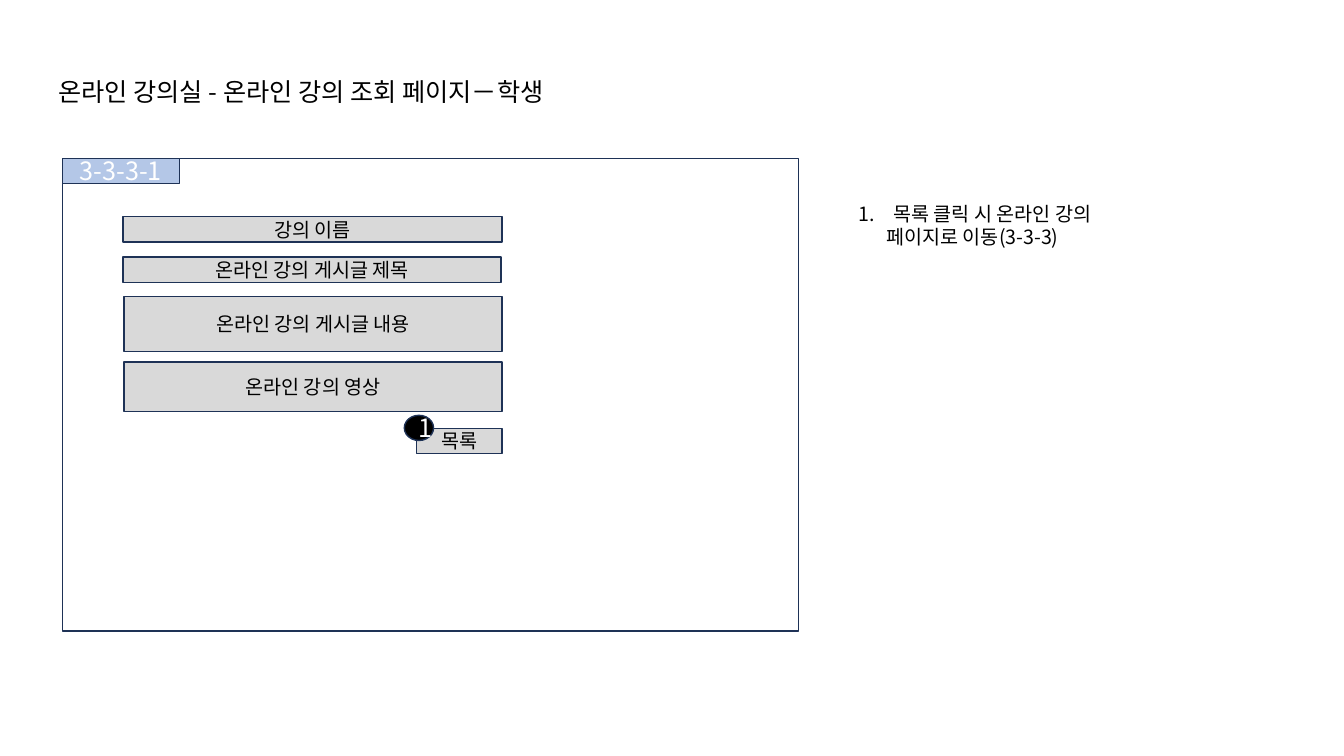
from dataclasses import dataclass

from lxml.etree import SubElement
from pptx import Presentation
from pptx.dml.color import RGBColor
from pptx.enum.shapes import MSO_SHAPE
from pptx.enum.text import MSO_ANCHOR, MSO_AUTO_SIZE, PP_ALIGN
from pptx.oxml.ns import qn
from pptx.shapes.autoshape import Shape
from pptx.slide import Slide
from pptx.text.text import TextFrame, _Paragraph
from pptx.util import Inches, Pt


@dataclass(frozen=True)
class Theme:
    font: str = "Noto Sans CJK KR"
    white: str = "FFFFFF"
    black: str = "000000"
    outline: str = "1E3256"
    tag: str = "B4C7E7"
    field: str = "D9D9D9"
    large: int = 18
    body: int = 14


THEME = Theme()


@dataclass(frozen=True)
class Box:
    left: float
    top: float
    width: float
    height: float
    text: str = ""
    fill: str = THEME.field
    color: str = THEME.black
    size: int = THEME.body
    shape: MSO_SHAPE = MSO_SHAPE.RECTANGLE


BOXES = [
    Box(0.62, 1.57, 7.3, 4.69, fill=THEME.white),
    Box(0.62, 1.57, 1.16, 0.25, "3-3-3-1", THEME.tag, THEME.white, THEME.large),
    Box(1.22, 2.15, 3.76, 0.25, "강의 이름"),
    Box(1.22, 2.55, 3.75, 0.25, "온라인 강의 게시글 제목"),
    Box(1.23, 2.94, 3.75, 0.55, "온라인 강의 게시글 내용"),
    Box(1.23, 3.59, 3.75, 0.49, "온라인 강의 영상"),
    Box(4.13, 4.25, 0.85, 0.25, "목록"),
    Box(4.01, 4.12, 0.29, 0.25, "1", THEME.black, THEME.white, THEME.large,
        MSO_SHAPE.OVAL),
]


def write(p: _Paragraph, text: str, *, size: int = THEME.body,
          color: str = THEME.black, align: PP_ALIGN = PP_ALIGN.LEFT,
          margin: float = 0, indent: float = 0) -> None:
    """Fill a paragraph; margin and first-line indent are in inches."""
    p.alignment = align
    pPr = p._p.get_or_add_pPr()
    pPr.set("marL", str(Inches(margin)))
    pPr.set("indent", str(Inches(indent)))
    r = p.add_run()
    r.text = text
    r.font.name = THEME.font
    r.font.size = Pt(size)
    r.font.color.rgb = RGBColor.from_string(color)
    SubElement(r.font._element, qn("a:ea"), typeface=THEME.font)


def add_box(slide: Slide, box: Box) -> Shape:
    sp = slide.shapes.add_shape(box.shape, Inches(box.left), Inches(box.top),
                                Inches(box.width), Inches(box.height))
    sp.shadow.inherit = False
    sp.fill.solid()
    sp.fill.fore_color.rgb = RGBColor.from_string(box.fill)
    sp.line.color.rgb = RGBColor.from_string(THEME.outline)
    sp.line.width = Pt(1)
    if box.text:
        tf = sp.text_frame
        tf.vertical_anchor = MSO_ANCHOR.MIDDLE
        write(tf.paragraphs[0], box.text, size=box.size, color=box.color,
              align=PP_ALIGN.CENTER)
    return sp


def add_text_box(slide: Slide, left: float, top: float, width: float,
                 height: float, wrap: bool) -> TextFrame:
    tf = slide.shapes.add_textbox(Inches(left), Inches(top), Inches(width),
                                  Inches(height)).text_frame
    tf.word_wrap = wrap
    tf.auto_size = MSO_AUTO_SIZE.SHAPE_TO_FIT_TEXT
    return tf


def main() -> None:
    prs = Presentation()
    prs.slide_width, prs.slide_height = Inches(13.33), Inches(7.5)
    slide = prs.slides.add_slide(prs.slide_layouts[6])

    title = add_text_box(slide, 0.48, 0.71, 5.64, 0.4, wrap=False)
    write(title.paragraphs[0], "온라인 강의실 - 온라인 강의 조회 페이지－학생",
          size=THEME.large)

    for box in BOXES:
        add_box(slide, box)

    note = add_text_box(slide, 8.42, 1.72, 4.29, 0.81, wrap=True)
    note.margin_top = Inches(0.28)
    write(note.paragraphs[0], "1.\t목록 클릭 시 온라인 강의", margin=0.34, indent=-0.34)
    write(note.add_paragraph(), "페이지로 이동(3-3-3)", margin=0.27)

    prs.save("out.pptx")


if __name__ == "__main__":
    main()
